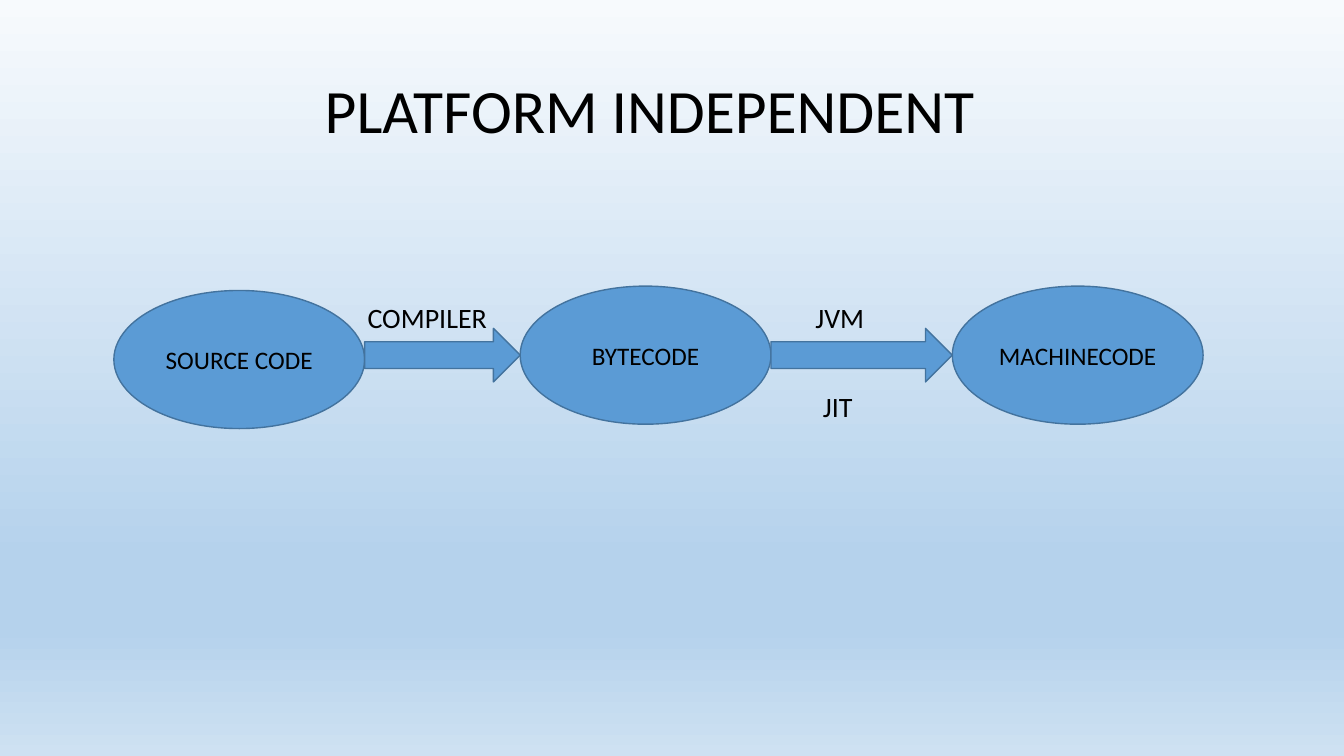
from pptx import Presentation
from pptx.dml.color import RGBColor
from pptx.enum.shapes import MSO_SHAPE as SHAPE
from pptx.enum.text import MSO_ANCHOR as ANCHOR, PP_ALIGN as ALIGN
from pptx.oxml import parse_xml
from pptx.oxml.ns import nsdecls, qn
from pptx.util import Cm, Pt

BLACK = RGBColor(0x00, 0x00, 0x00)
BLUE = RGBColor(0x5B, 0x9B, 0xD5)
DARK_BLUE = RGBColor(0x43, 0x73, 0x9E)
SKY_PALE = RGBColor(0xF7, 0xFA, 0xFD)
SKY_MID = RGBColor(0xB5, 0xD2, 0xEC)
SKY_LOW = RGBColor(0xCE, 0xE1, 0xF2)
SKY_STOPS = [(0, SKY_PALE), (74, SKY_MID), (83, SKY_MID), (100, SKY_LOW)]

STAGE_W, STAGE_H = 6.32, 3.48
ARROW_H = 1.35
# Name, left and top of each stage within the flow
STAGES = [("SOURCE CODE", 0, 0.11), ("BYTECODE", 10.24, 0), ("MACHINECODE", 21.13, 0)]
# Text, offset from the arrow's middle and top within the flow, per arrow
ARROW_LABELS = [
    [("COMPILER", -0.38, 0.35)],
    [("JVM", -0.55, 0.35), ("JIT", -0.6, 2.57)],
]


def paint_background(s):
    fill = s.background.fill
    fill.gradient()
    grad = s.background._cSld.find(".//" + qn("a:gradFill"))
    for child in list(grad):
        grad.remove(child)
    stops = "".join(
        f'<a:gs pos="{pos * 1000}"><a:srgbClr val="{color}"/></a:gs>'
        for pos, color in SKY_STOPS
    )
    grad.append(parse_xml(f'<a:gsLst {nsdecls("a")}>{stops}</a:gsLst>'))
    grad.append(parse_xml(f'<a:lin {nsdecls("a")} ang="5400000" scaled="1"/>'))


def write_centred(sp, text, size, spacing=1.0):
    tf = sp.text_frame
    tf.word_wrap = True
    tf.vertical_anchor = ANCHOR.MIDDLE
    p = tf.paragraphs[0]
    p.alignment = ALIGN.CENTER
    p.line_spacing = spacing
    r = p.add_run()
    r.text = text
    r.font.name = "Calibri"
    r.font.size = Pt(size)
    r.font.color.rgb = BLACK


def add_text(s, text, size, x, y, w, h):
    sp = s.shapes.add_textbox(Cm(x), Cm(y), Cm(w), Cm(h))
    write_centred(sp, text, size, 0.9)


def add_blue_shape(s, kind, x, y, w, h):
    sp = s.shapes.add_shape(kind, Cm(x), Cm(y), Cm(w), Cm(h))
    sp.shadow.inherit = False
    sp.fill.solid()
    sp.fill.fore_color.rgb = BLUE
    sp.line.color.rgb = DARK_BLUE
    sp.line.width = Pt(1)
    return sp


def add_flow(s, x, y):
    """Draw the stages, then the labelled arrows that fill the gaps."""
    for name, dx, dy in STAGES:
        sp = add_blue_shape(s, SHAPE.OVAL, x + dx, y + dy, STAGE_W, STAGE_H)
        write_centred(sp, name, 18)

    label_w, label_h = 4, 1
    arrow_y = y + (STAGE_H - ARROW_H) / 2
    for before, after, labels in zip(STAGES, STAGES[1:], ARROW_LABELS):
        left = x + before[1] + STAGE_W
        width = x + after[1] - left
        add_blue_shape(s, SHAPE.RIGHT_ARROW, left, arrow_y, width, ARROW_H)
        for text, shift, dy in labels:
            label_x = left + width / 2 + shift - label_w / 2
            add_text(s, text, 20, label_x, y + dy, label_w, label_h)


def main():
    prs = Presentation()
    prs.slide_width, prs.slide_height = Cm(33.87), Cm(19.05)
    s = prs.slides.add_slide(prs.slide_layouts[6])
    paint_background(s)
    add_text(s, "PLATFORM INDEPENDENT", 44, 2.33, 1.01, 28.1, 3.68)
    add_flow(s, 2.87, 7.21)
    prs.save("out.pptx")


if __name__ == "__main__":
    main()
